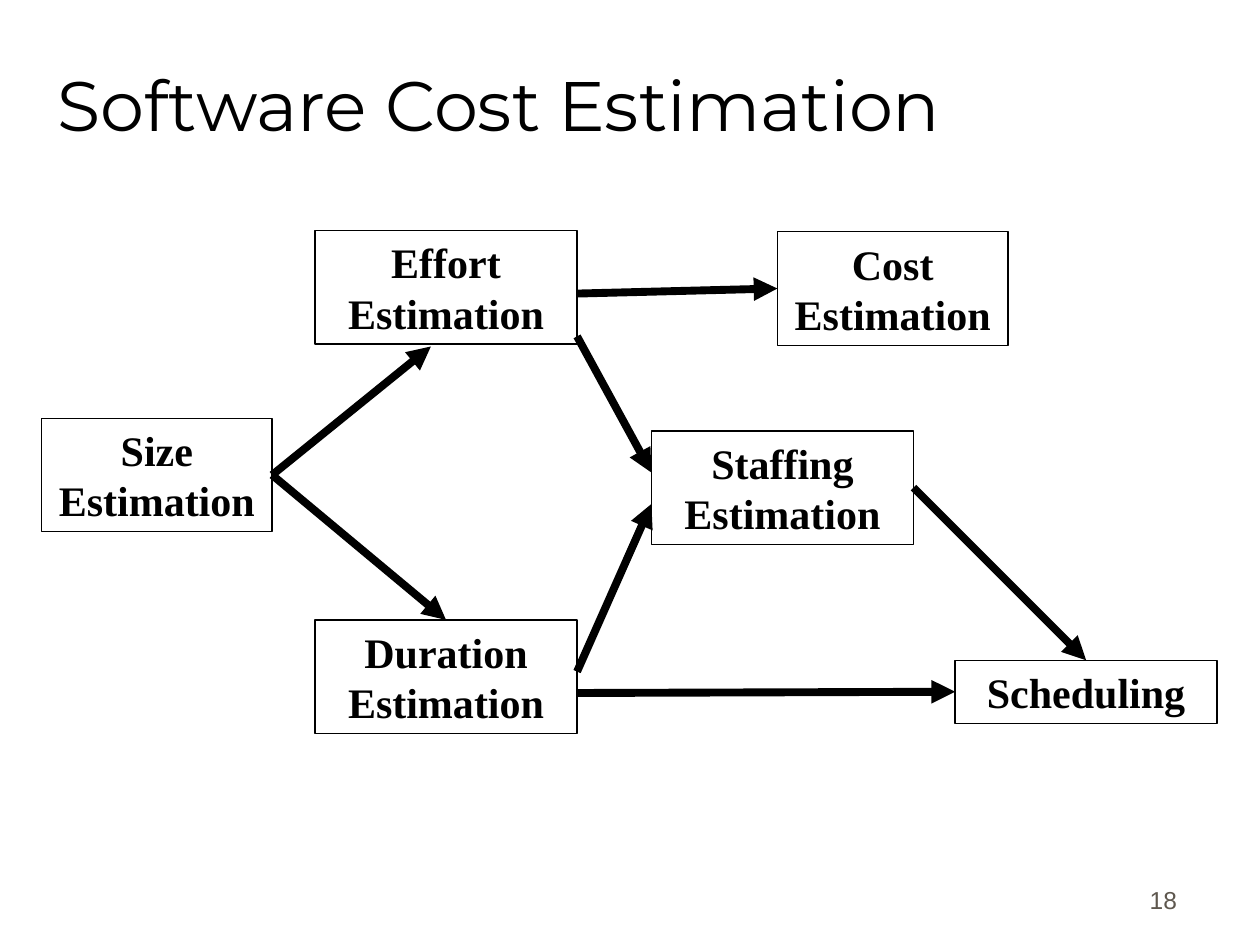
from lxml.etree import SubElement
from pptx import Presentation
from pptx.dml.color import RGBColor
from pptx.enum.shapes import MSO_CONNECTOR as Connector, MSO_SHAPE as Shape
from pptx.enum.text import MSO_ANCHOR as Anchor, MSO_AUTO_SIZE as AutoSize, PP_ALIGN as Align
from pptx.oxml.ns import qn
from pptx.util import Inches, Pt

BLACK, GREY = "000000", "5E574E"
TOP, LEFT, BOTTOM, RIGHT = range(4)
WIDE, NARROW, TALL, SHORT = 2.08, 1.83, 0.9, 0.5

STEPS = {
    "Size Estimation": (0.33, 3.32, NARROW, TALL),
    "Effort Estimation": (2.5, 1.83, WIDE, TALL),
    "Cost Estimation": (6.17, 1.84, NARROW, TALL),
    "Duration Estimation": (2.5, 4.92, WIDE, TALL),
    "Staffing Estimation": (5.17, 3.42, WIDE, TALL),
    "Scheduling": (7.58, 5.24, WIDE, SHORT),
}

ARROWS = [
    (("Size Estimation", RIGHT), (3.42, 2.75)),
    (("Size Estimation", RIGHT), ("Duration Estimation", TOP)),
    ((4.58, 2.33), ("Cost Estimation", LEFT)),
    ((4.58, 2.67), (5.17, 3.75)),
    ((4.58, 5.33), (5.17, 4)),
    ((4.58, 5.5), ("Scheduling", LEFT)),
    (("Staffing Estimation", RIGHT), ("Scheduling", TOP)),
]


def color(value):
    """Turn a hex string into a colour."""
    return RGBColor.from_string(value)


def write(shape, text, font, size, fill=BLACK, bold=False, align=Align.LEFT,
          anchor=Anchor.TOP, side=0.1, fit=AutoSize.NONE):
    """Write one formatted paragraph into a shape."""
    frame = shape.text_frame
    frame.word_wrap = True
    frame.auto_size = fit
    frame.vertical_anchor = anchor
    frame.margin_left = frame.margin_right = Inches(side)
    frame.margin_top = frame.margin_bottom = Inches(0.05)
    para = frame.paragraphs[0]
    para.alignment = align
    span = para.add_run()
    span.text = text
    span.font.name = font
    span.font.size = Pt(size)
    span.font.bold = bold
    span.font.color.rgb = color(fill)


def add_title(page, box, text):
    """Place the title placeholder in its box."""
    title = page.shapes.title
    title.left, title.top, title.width, title.height = map(Inches, box)
    write(title, text, "Montserrat", 40, anchor=Anchor.MIDDLE, side=0.02)


def add_page_number(page, box, text):
    """Place the page number in its box."""
    number = page.shapes.add_textbox(*map(Inches, box))
    write(number, text, "Arial", 14, fill=GREY, align=Align.RIGHT, anchor=Anchor.BOTTOM)


def add_step(page, box, text):
    """Add one outlined step of the estimation flow."""
    step = page.shapes.add_shape(Shape.RECTANGLE, *map(Inches, box))
    step.shadow.inherit = False
    step.fill.background()
    step.line.color.rgb = color(BLACK)
    step.line.width = Pt(0.75)
    write(step, text, "Times New Roman", 24, bold=True, align=Align.CENTER,
          fit=AutoSize.SHAPE_TO_FIT_TEXT)
    return step


def locate(end):
    """Give the point of an arrow end, which may be a side of a step."""
    if end[0] not in STEPS:
        return end
    left, top, width, height = STEPS[end[0]]
    across, down = {TOP: (0.5, 0), LEFT: (0, 0.5), BOTTOM: (0.5, 1), RIGHT: (1, 0.5)}[end[1]]
    return left + across * width, top + down * height


def add_arrow(page, steps, start, finish):
    """Add an arrow and join the ends that name a step."""
    arrow = page.shapes.add_connector(
        Connector.STRAIGHT, *map(Inches, (*locate(start), *locate(finish))))
    for end, connect in ((start, arrow.begin_connect), (finish, arrow.end_connect)):
        if end[0] in steps:
            connect(steps[end[0]], end[1])
    arrow.line.color.rgb = color(BLACK)
    arrow.line.width = Pt(4.5)
    SubElement(arrow.line._get_or_add_ln(), qn("a:tailEnd"), type="triangle")
    SubElement(arrow._element.spPr, qn("a:effectLst"))


def add_flow(page):
    """Add the steps and the arrows between them."""
    steps = {text: add_step(page, box, text) for text, box in STEPS.items()}
    for start, finish in ARROWS:
        add_arrow(page, steps, start, finish)


def main():
    """Build the deck and save it."""
    deck = Presentation()
    deck.slide_width, deck.slide_height = Inches(10), Inches(7.5)
    page = deck.slides.add_slide(deck.slide_layouts[5])
    add_page_number(page, (7.36, 6.81, WIDE, SHORT), "18")
    add_flow(page)
    add_title(page, (0.44, 0.2, 8.5, 1.25), "Software Cost Estimation")
    deck.save("out.pptx")


if __name__ == "__main__":
    main()
